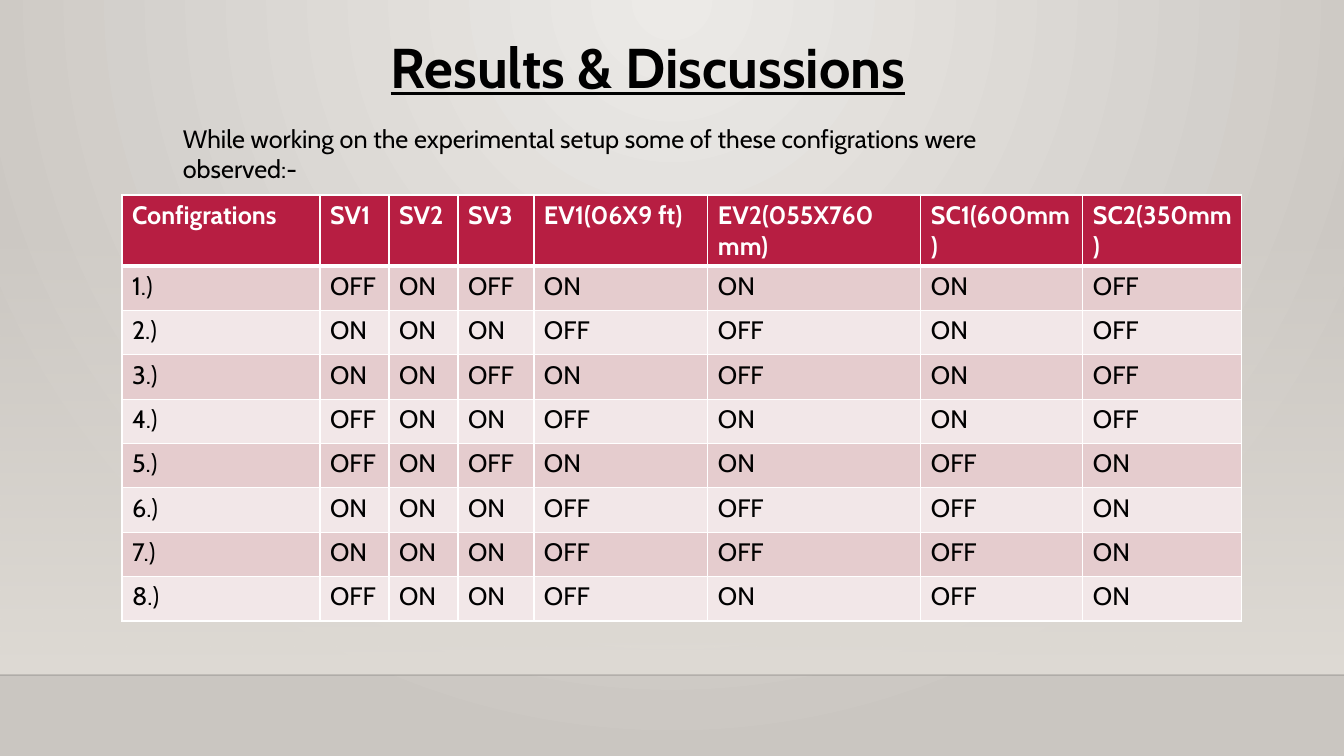
from pptx import Presentation
from pptx.dml.color import RGBColor
from pptx.enum.shapes import MSO_CONNECTOR as Link, MSO_SHAPE as Form
from pptx.enum.text import MSO_ANCHOR as Anchor, MSO_AUTO_SIZE as Fit, PP_ALIGN as Align
from pptx.oxml import parse_xml
from pptx.oxml.ns import nsdecls, qn
from pptx.util import Emu, Pt

SCALE = 914400 / 100.8
FONT = "Cabin"
COLS = [198, 69, 69, 76, 174, 213, 162, 159]
HEAD = ["Configrations", "SV1", "SV2", "SV3", "EV1(06X9 ft)",
        "EV2(055X760 mm)", "SC1(600mm)", "SC2(350mm)"]
STATES = [
    "OFF ON OFF ON ON ON OFF",
    "ON ON ON OFF OFF ON OFF",
    "ON ON OFF ON OFF ON OFF",
    "OFF ON ON OFF ON ON OFF",
    "OFF ON OFF ON ON OFF ON",
    "ON ON ON OFF OFF OFF ON",
    "ON ON ON OFF OFF OFF ON",
    "OFF ON ON OFF ON OFF ON",
]


def px(size):
    return Emu(round(size * SCALE))


def tint(color):
    return RGBColor.from_string(color)


def write(frame, text, size=18, color="000000", bold=False, line=False, align=Align.LEFT):
    para = frame.paragraphs[0]
    para.alignment = align
    run = para.add_run()
    run.text = text
    font = run.font
    font.name, font.size = FONT, Pt(size)
    font.bold, font.underline = bold, line
    font.color.rgb = tint(color)


def place(shape, left, top, width, height):
    shape.left, shape.top = px(left), px(top)
    shape.width, shape.height = px(width), px(height)


def fade(root, stops, course):
    marks = "".join(
        f'<a:gs pos="{pos * 1000}"><a:srgbClr val="{color}">'
        f'<a:alpha val="{alpha * 1000}"/></a:srgbClr></a:gs>'
        for pos, color, alpha in stops)
    solid = next(root.iter(qn("a:solidFill")))
    solid.getparent().replace(solid, parse_xml(
        f'<a:gradFill {nsdecls("a")} rotWithShape="1">'
        f'<a:gsLst>{marks}</a:gsLst>{course}</a:gradFill>'))


def backdrop(slide):
    fill = slide.background.fill
    fill.solid()
    fill.fore_color.rgb = tint("ECEAE7")
    fade(slide.element, [(0, "ECEAE7", 100), (100, "CAC6C1", 100)],
         '<a:path path="circle"><a:fillToRect l="50000" t="0" r="50000" b="100000"/></a:path>')


def wall(slide):
    rect = slide.shapes.add_shape(Form.RECTANGLE, 0, px(223), px(1344), px(452))
    rect.shadow.inherit = False
    rect.line.fill.background()
    rect.fill.solid()
    rect.fill.fore_color.rgb = tint("DFDBD5")
    fade(rect.element, [(0, "DFDBD5", 0), (100, "DFDBD5", 100)],
         '<a:lin ang="5400000" scaled="0"/>')


def floor(slide):
    rule = slide.shapes.add_connector(Link.STRAIGHT, 0, px(675), px(1344), px(675))
    rule.line.width = Pt(1)
    rule.line.color.rgb = tint("000001")
    props = rule.element.spPr
    shade = next(props.iter(qn("a:srgbClr")))
    shade.append(parse_xml(f'<a:alpha {nsdecls("a")} val="20000"/>'))
    props.append(parse_xml(f'<a:effectLst {nsdecls("a")}/>'))


def heading(slide, text):
    title = slide.shapes.title
    place(title, 215, 27, 866, 77)
    frame = title.text_frame
    frame.auto_size = Fit.NONE
    frame.vertical_anchor = Anchor.TOP
    write(frame, text, size=40, bold=True, line=True, align=Align.CENTER)


def intro(slide, text):
    box = slide.shapes.add_textbox(px(173), px(118), px(911), px(40))
    box.text_frame.word_wrap = True
    write(box.text_frame, text)


def border(cell, side, width):
    cell._tc.get_or_add_tcPr().append(parse_xml(
        f'<a:ln{side} {nsdecls("a")} w="{Pt(width)}"><a:solidFill>'
        f'<a:srgbClr val="FFFFFF"/></a:solidFill></a:ln{side}>'))


def grid(slide):
    rows = [HEAD] + [[f"{num}.)", *line.split()] for num, line in enumerate(STATES, 1)]
    table = slide.shapes.add_table(
        len(rows), len(COLS), px(122), px(195), px(sum(COLS)), px(426)).table
    for col, width in zip(table.columns, COLS):
        col.width = px(width)
    for r, words in enumerate(rows):
        table.rows[r].height = px(355) // len(STATES) if r else px(71)
        back = ("E5CCCE" if r % 2 else "F2E7E8") if r else "B71E42"
        widths = {"L": 0.96, "R": 0.96, "T": 3 if r == 1 else 0.96, "B": 0.96 if r else 3}
        for c, word in enumerate(words):
            cell = table.cell(r, c)
            for side, width in widths.items():
                border(cell, side, width)
            cell.fill.solid()
            cell.fill.fore_color.rgb = tint(back)
            write(cell.text_frame, word, color="000000" if r else "FFFFFF", bold=not r)


def main():
    deck = Presentation()
    deck.slide_width, deck.slide_height = px(1344), px(756)
    slide = deck.slides.add_slide(deck.slide_layouts[5])
    backdrop(slide)
    wall(slide)
    floor(slide)
    heading(slide, "Results & Discussions")
    intro(slide, "While working on the experimental setup some of these "
                 "configrations were observed:-")
    grid(slide)
    deck.save("out.pptx")


if __name__ == "__main__":
    main()
